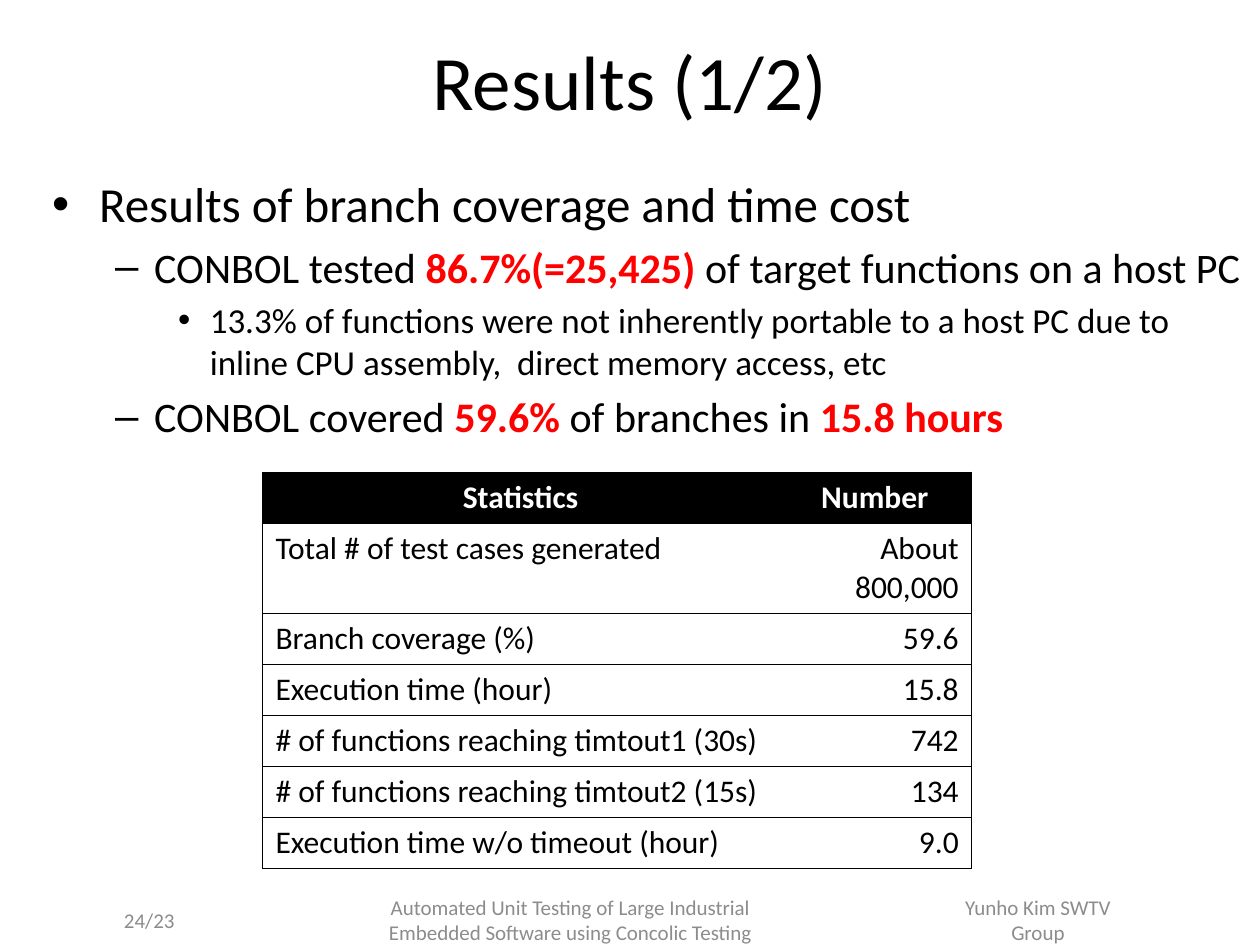
from dataclasses import dataclass

from lxml import etree
from pptx import Presentation
from pptx.dml.color import RGBColor
from pptx.enum.text import MSO_ANCHOR, PP_ALIGN
from pptx.oxml.ns import qn
from pptx.util import Cm, Pt

LEFT, CENTER, RIGHT = PP_ALIGN.LEFT, PP_ALIGN.CENTER, PP_ALIGN.RIGHT
MIDDLE = MSO_ANCHOR.MIDDLE


@dataclass(frozen=True)
class Theme:
    font: str = "Calibri"
    black: RGBColor = RGBColor(0, 0, 0)
    white: RGBColor = RGBColor(255, 255, 255)
    red: RGBColor = RGBColor(255, 0, 0)
    gray: RGBColor = RGBColor(0x8C, 0x8C, 0x8C)
    title: int = 44
    levels: tuple = (28, 24, 20)
    table: int = 18
    footer: int = 12


theme = Theme()


def style(para, size, color, align=LEFT, bold=False):
    para.alignment = align
    para.font.name = theme.font
    para.font.size = Pt(size)
    para.font.color.rgb = color
    para.font.bold = bold


def add_border(cell, side, visible):
    line = etree.SubElement(cell._tc.get_or_add_tcPr(), qn(f"a:ln{side}"), w=str(Pt(0.75)))
    if visible:
        fill = etree.SubElement(line, qn("a:solidFill"))
        etree.SubElement(fill, qn("a:srgbClr"), val=str(theme.black))
    else:
        etree.SubElement(line, qn("a:noFill"))


deck = Presentation()
deck.slide_width, deck.slide_height = Cm(25.4), Cm(19.05)
page = deck.slides.add_slide(deck.slide_layouts[5])

title = page.shapes.title
title.left, title.top, title.width, title.height = Cm(0), Cm(0.4), Cm(25.4), Cm(2.4)
title.text_frame.text = "Results (1/2)"
title.text_frame.vertical_anchor = MIDDLE
style(title.text_frame.paragraphs[0], theme.title, theme.black, CENTER)

footers = [
    (1.27, 2.5, RIGHT, "24/23"),
    (4.3, 14.4, CENTER,
     "Automated Unit Testing of Large Industrial\nEmbedded Software using Concolic Testing"),
    (19.05, 3.75, CENTER, "Yunho Kim SWTV Group"),
]
for left, width, align, text in footers:
    box = page.shapes.add_textbox(Cm(left), Cm(18.03), Cm(width), Cm(1.02))
    box.text_frame.word_wrap = True
    box.text_frame.vertical_anchor = MIDDLE
    box.text_frame.text = text
    for para in box.text_frame.paragraphs:
        style(para, theme.footer, theme.gray, align)

bullets = [
    (0, [("Results of branch coverage and time cost", False)]),
    (1, [("CONBOL tested ", False), ("86.7%(=25,425) ", True),
         ("of target functions on a host PC", False)]),
    (2, [("13.3% of functions were not inherently portable to a host PC due to "
          "inline CPU assembly,  direct memory access, etc", False)]),
    (1, [("CONBOL covered ", False), ("59.6%", True),
         (" of branches in ", False), ("15.8 hours", True)]),
]
level_marks = [("•", 0.95, 0.95), ("–", 2.06, 0.79), ("•", 3.18, 0.64)]
body = page.shapes.add_textbox(Cm(0.8), Cm(3.38), Cm(24.5), Cm(14.48)).text_frame
body.word_wrap = True
for index, (level, spans) in enumerate(bullets):
    para = body.add_paragraph() if index else body.paragraphs[0]
    mark, margin, hanging = level_marks[level]
    size = theme.levels[level]
    para.level = level
    if index:
        para.space_before = Pt(0.2 * size)
    properties = para._p.get_or_add_pPr()
    properties.set("marL", str(Cm(margin)))
    properties.set("indent", str(-Cm(hanging)))
    etree.SubElement(properties, qn("a:buFont"), typeface="Arial")
    etree.SubElement(properties, qn("a:buChar"), char=mark)
    style(para, size, theme.black)
    for text, highlighted in spans:
        span = para.add_run()
        span.text = text
        if highlighted:
            span.font.bold = True
            span.font.color.rgb = theme.red

statistics = [
    ("Statistics", "Number"),
    ("Total # of test cases generated", "About 800,000"),
    ("Branch coverage (%)", "59.6"),
    ("Execution time (hour)", "15.8"),
    ("# of functions reaching timtout1 (30s)", "742"),
    ("# of functions reaching timtout2 (15s)", "134"),
    ("Execution time w/o timeout (hour)", "9.0"),
]
table = page.shapes.add_table(len(statistics), 2, Cm(5.3), Cm(9.52), Cm(14.28), Cm(7.99)).table
table.columns[0].width, table.columns[1].width = Cm(10.39), Cm(3.89)
for row, values in enumerate(statistics):
    table.rows[row].height = Cm(1.81 if row == 1 else 1.03)
    header = row == 0
    for column, text in enumerate(values):
        cell = table.cell(row, column)
        cell.text = text
        align = CENTER if header else (LEFT, RIGHT)[column]
        style(cell.text_frame.paragraphs[0], theme.table,
              theme.white if header else theme.black, align, header)
        for side, visible in (("L", column == 0), ("R", column == 1), ("T", True), ("B", True)):
            add_border(cell, side, visible)
        cell.fill.solid()
        cell.fill.fore_color.rgb = theme.black if header else theme.white

deck.save("out.pptx")
